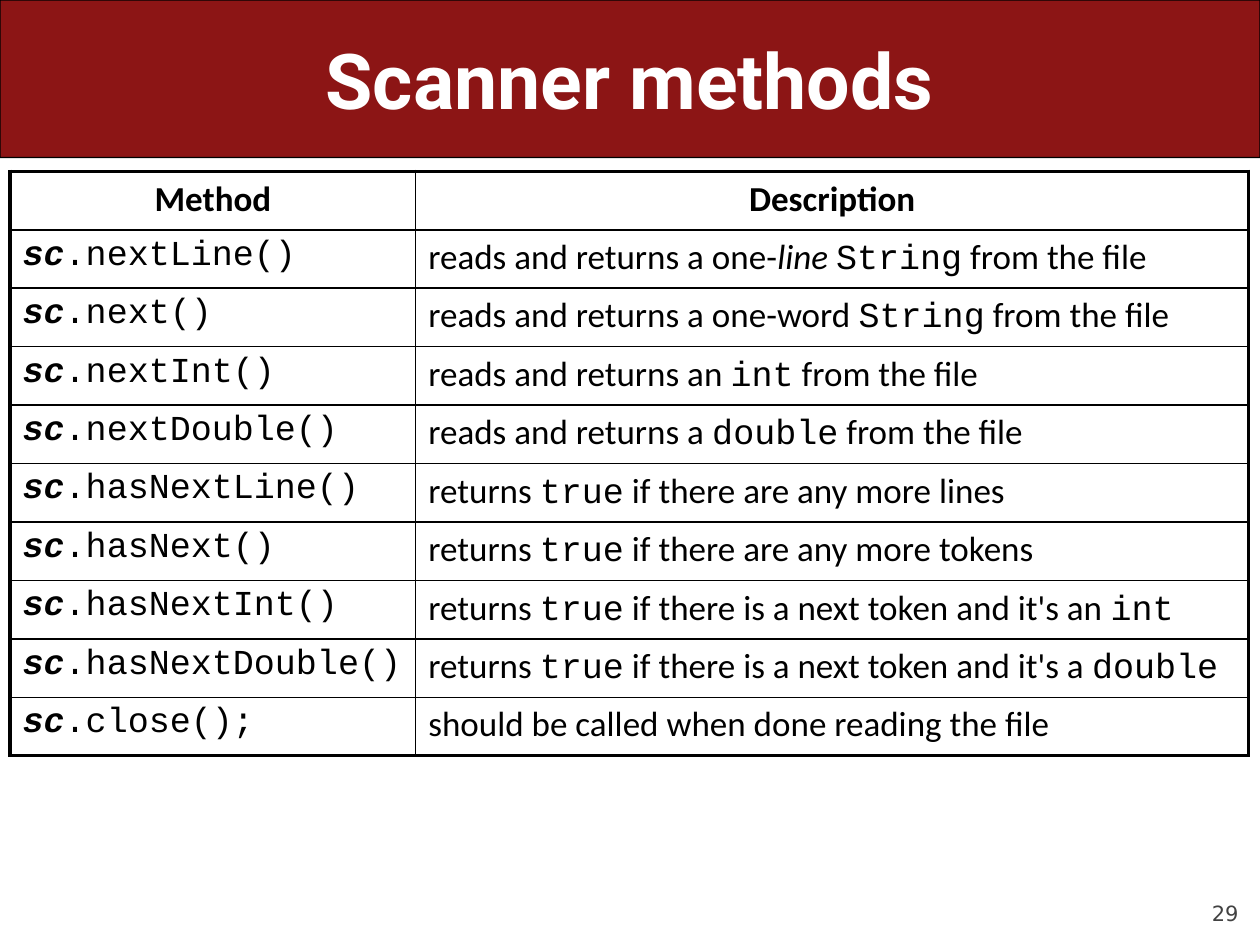
"""Build a slide listing the Scanner methods."""
from lxml import etree
from pptx import Presentation, util as u
from pptx.dml.color import RGBColor
from pptx.enum import shapes, text
from pptx.oxml.ns import qn

COLORS = {"banner": "8C1515", "ink": "000000", "paper": "FFFFFF", "number": "424242"}
COLUMN = ROW = u.Inches(1)
COLUMNS, ROWS = 10, 7.5
METHOD_SHARE = 3.22 / 9.83
THIN, THICK = 1, 2.25
METHODS = [
    ("nextLine()", "reads and returns a one-*line *`String` from the file"),
    ("next()", "reads and returns a one-word `String` from the file"),
    ("nextInt()", "reads and returns an `int` from the file"),
    ("nextDouble()", "reads and returns a `double` from the file"),
    ("hasNextLine()", "returns `true` if there are any more lines"),
    ("hasNext()", "returns `true` if there are any more tokens"),
    ("hasNextInt()", "returns `true` if there is a next token and it's an `int`"),
    ("hasNextDouble()", "returns `true` if there is a next token and it's a `double`"),
    ("close();", "should be called when done reading the file"),
]


def color(name):
    """Return the named palette colour."""
    return RGBColor.from_string(COLORS[name])


def scale(box):
    """Turn a box in grid columns and rows into lengths."""
    left, top, width, height = box
    return [int(n) for n in (left * COLUMN, top * ROW, width * COLUMN, height * ROW)]


def style(paragraph, size, ink, align, name=None, bold=None):
    """Set the alignment and shared font of a paragraph."""
    paragraph.alignment = align
    font = paragraph.font
    font.size, font.name, font.bold = u.Pt(size), name, bold
    font.color.rgb = color(ink)


def add_label(slide, box, wording, anchor, inset, **look):
    """Add a one-paragraph text box."""
    frame = slide.shapes.add_textbox(*scale(box)).text_frame
    frame.word_wrap = True
    frame.vertical_anchor = anchor
    frame.margin_left = frame.margin_right = u.Inches(inset)
    frame.margin_top = frame.margin_bottom = u.Inches(inset / 2)
    frame.text = wording
    style(frame.paragraphs[0], **look)


def add_banner(slide, box, title):
    """Add the coloured band with its centred title."""
    left, top, width, height = box
    band = slide.shapes.add_shape(shapes.MSO_SHAPE.ROUNDED_RECTANGLE, *scale(box))
    band.adjustments[0] = 0.001
    band.shadow.inherit = False
    band.fill.solid()
    band.fill.fore_color.rgb = color("banner")
    band.line.color.rgb = color("ink")
    band.line.width = u.Pt(0.75)
    margin = width / 20
    add_label(slide, (left + margin, top, width - 2 * margin, height), title,
              text.MSO_ANCHOR.MIDDLE, 0.1, size=44, ink="paper",
              align=text.PP_ALIGN.CENTER, name="Roboto", bold=True)


def write_marked(paragraph, marked):
    """Write runs, with backticks around code and asterisks around italics."""
    for i, part in enumerate(marked.split("`")):
        for j, piece in enumerate(part.split("*")):
            if piece:
                run = paragraph.add_run()
                run.text = piece
                is_code, is_italic = i % 2 == 1, j % 2 == 1
                run.font.name = "Courier New" if is_code else "Calibri"
                if is_italic:
                    run.font.italic = True
                    run.font.bold = is_code


def draw_borders(cell, widths):
    """Draw the left, right, top and bottom borders of a cell."""
    properties = cell._tc.get_or_add_tcPr()
    for side, width in zip("LRTB", widths):
        edge = etree.SubElement(properties, qn(f"a:ln{side}"), w=str(u.Pt(width)))
        fill = etree.SubElement(edge, qn("a:solidFill"))
        etree.SubElement(fill, qn("a:srgbClr"), val=COLORS["ink"])


def add_methods(slide, box):
    """Add the method table with a heavy outer frame."""
    entries = [("Method", "Description")]
    entries += [(f"`*sc*.{call}`", description) for call, description in METHODS]
    left, top, width, height = scale(box)
    table = slide.shapes.add_table(len(entries), 2, left, top, width, height).table
    table.first_row = table.horz_banding = False
    table.columns[0].width = int(width * METHOD_SHARE)
    table.columns[1].width = width - table.columns[0].width
    last = len(entries) - 1
    for r, entry in enumerate(entries):
        for c, marked in enumerate(entry):
            cell = table.cell(r, c)
            outer = (c == 0, c == 1, r == 0, r == last)
            draw_borders(cell, [THICK if edge else THIN for edge in outer])
            cell.fill.background()
            paragraph = cell.text_frame.paragraphs[0]
            align = text.PP_ALIGN.CENTER if r == 0 else text.PP_ALIGN.LEFT
            style(paragraph, 20, "ink", align, bold=r == 0)
            write_marked(paragraph, marked)


def add_page_number(slide, box, number):
    """Add the slide number at the lower right."""
    add_label(slide, box, number, text.MSO_ANCHOR.BOTTOM, 0, size=12,
              ink="number", align=text.PP_ALIGN.RIGHT, name="DejaVu Sans")


def main():
    """Build and save the slide."""
    deck = Presentation()
    deck.slide_width, deck.slide_height = COLUMNS * COLUMN, int(ROWS * ROW)
    slide = deck.slides.add_slide(deck.slide_layouts[6])
    add_page_number(slide, (9, 6.95, 0.83, 0.4), "29")
    add_banner(slide, (0, 0, COLUMNS, 1.25), "Scanner methods")
    add_methods(slide, (0.08, 1.36, 9.83, 4.64))
    deck.save("out.pptx")


if __name__ == "__main__":
    main()
